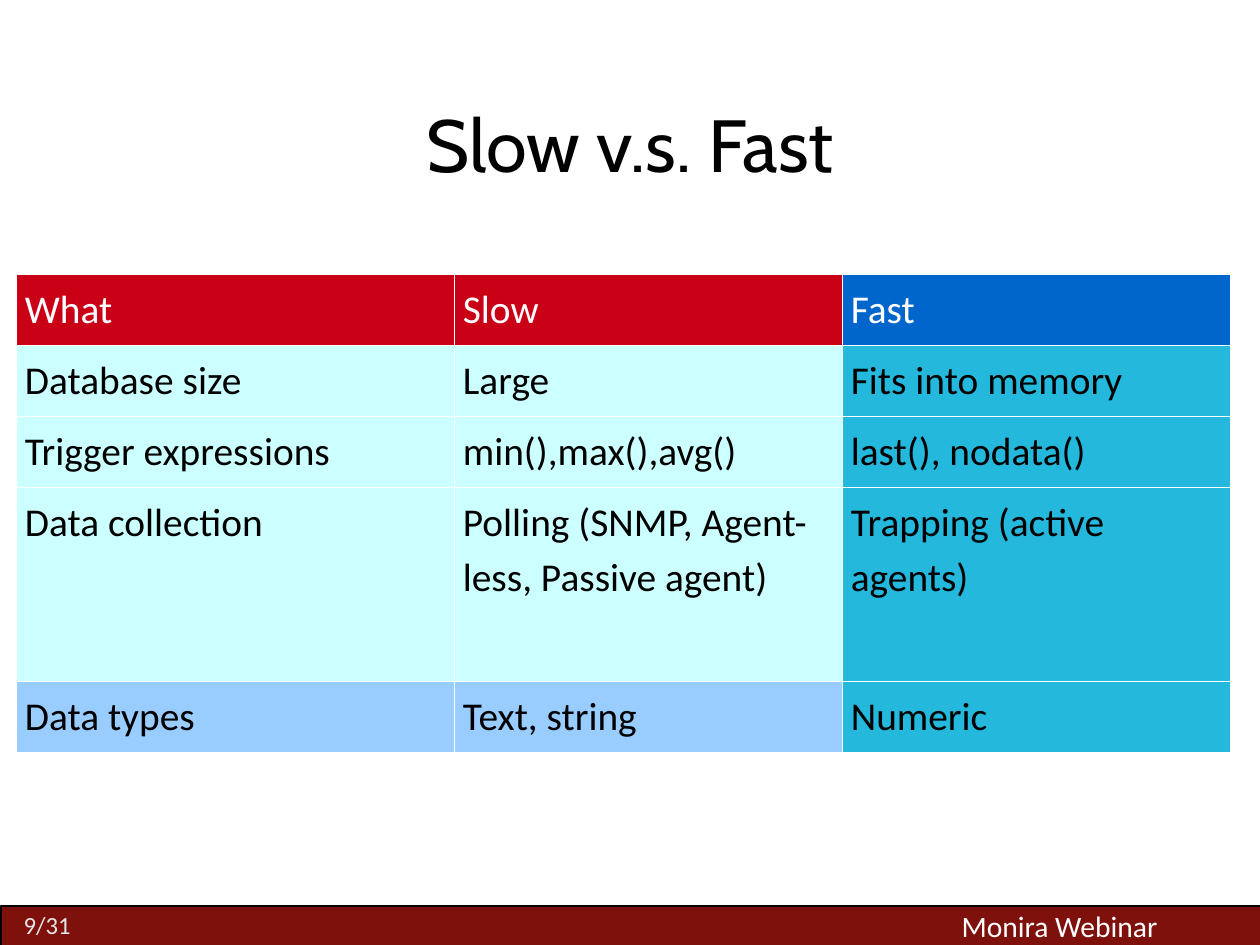
from lxml.etree import SubElement
from pptx import Presentation
from pptx.dml.color import RGBColor as RGB
from pptx.enum.shapes import MSO_SHAPE as Shape
from pptx.enum.text import MSO_ANCHOR as Anchor, MSO_AUTO_SIZE as Fit, PP_ALIGN as Align
from pptx.oxml import parse_xml
from pptx.oxml.ns import nsdecls, qn
from pptx.util import Pt

WHITE = RGB(0xFF, 0xFF, 0xFF)
BLACK = RGB(0, 0, 0)
GREY = RGB(0xE6, 0xE6, 0xE6)
MAROON = RGB(0x79, 0x05, 0x00)
RED = RGB(0xC9, 0x00, 0x16)
BLUE = RGB(0x00, 0x66, 0xCC)
PALE = RGB(0xCC, 0xFF, 0xFF)
SKY = RGB(0x99, 0xCC, 0xFF)
TEAL = RGB(0x23, 0xB8, 0xDC)

TITLE = "Slow v.s. Fast"
PAGE = "9/31"
EVENT = "Monira Webinar"
# Row height, fill of the first two columns, fill of the last, texts
ROWS = [
    (71, RED, BLUE, ("What", "Slow", "Fast")),
    (71, PALE, TEAL, ("Database size", "Large", "Fits into memory")),
    (71, PALE, TEAL, ("Trigger expressions", "min(),max(),avg()", "last(), nodata()")),
    (194, PALE, TEAL, ("Data collection", "Polling (SNMP, Agent-less, Passive agent)",
                       "Trapping (active agents)")),
    (71, SKY, TEAL, ("Data types", "Text, string", "Numeric")),
]
WIDTHS = (438, 388, 388)
PX = 10320


def px(*sizes):
    return [size * PX for size in sizes]


def write(frame, text, size, color, font="Calibri", align=Align.LEFT):
    frame.text = text
    para = frame.paragraphs[0]
    para.alignment = align
    para.font.name = font
    para.font.size = Pt(size)
    para.font.bold = False
    para.font.color.rgb = color
    return para


def inset(frame, gap):
    frame.margin_left = frame.margin_right = gap * PX
    frame.margin_top = frame.margin_bottom = gap * PX


def edge(cell):
    """Draw a white hairline on all four sides; borders precede the fill."""
    props = cell._tc.get_or_add_tcPr()
    for spot, side in enumerate("LRTB"):
        props.insert(spot, parse_xml(
            f'<a:ln{side} {nsdecls("a")} w="762"><a:solidFill>'
            f'<a:srgbClr val="{WHITE}"/></a:solidFill></a:ln{side}>'))


def add_bar(slide):
    bar = slide.shapes.add_shape(Shape.RECTANGLE, *px(1, 906, 1263, 48))
    bar.shadow.inherit = False
    bar.fill.solid()
    bar.fill.fore_color.rgb = MAROON
    bar.line.color.rgb = BLACK
    bar.line.width = Pt(2)
    tint = bar.fill._xPr.find(qn("a:solidFill"))[0]
    SubElement(tint, qn("a:alpha"), val="95000")

    page = slide.shapes.add_textbox(*px(15, 906, 687, 43)).text_frame
    page.word_wrap = True
    write(page, PAGE, 20, GREY)

    event = slide.shapes.add_textbox(*px(838, 904, 443, 44)).text_frame
    event.word_wrap = True
    event.vertical_anchor = Anchor.MIDDLE
    inset(event, 0)
    write(event, EVENT, 24, WHITE, align=Align.CENTER)


def add_title(slide):
    title = slide.shapes.title
    title.left, title.top, title.width, title.height = px(123, 9, 1014, 268)
    frame = title.text_frame
    frame.auto_size = Fit.NONE
    frame.vertical_anchor = Anchor.MIDDLE
    inset(frame, 5)
    write(frame, TITLE, 60, BLACK, "Cabin", Align.CENTER)


def add_grid(slide):
    high = sum(row[0] for row in ROWS)
    spot = px(16, 274, sum(WIDTHS), high)
    table = slide.shapes.add_table(len(ROWS), len(WIDTHS), *spot).table
    for col, width in zip(table.columns, WIDTHS):
        col.width = width * PX
    for r, (height, main, last, texts) in enumerate(ROWS):
        table.rows[r].height = height * PX
        for c, text in enumerate(texts):
            cell = table.cell(r, c)
            cell.fill.solid()
            cell.fill.fore_color.rgb = last if c == 2 else main
            edge(cell)
            para = write(cell.text_frame, text, 32, BLACK if r else WHITE)
            para.line_spacing = 1.15


def main():
    deck = Presentation()
    deck.slide_width, deck.slide_height = px(1260, 945)
    slide = deck.slides.add_slide(deck.slide_layouts[5])
    add_bar(slide)
    add_title(slide)
    add_grid(slide)
    deck.save("out.pptx")


if __name__ == "__main__":
    main()
